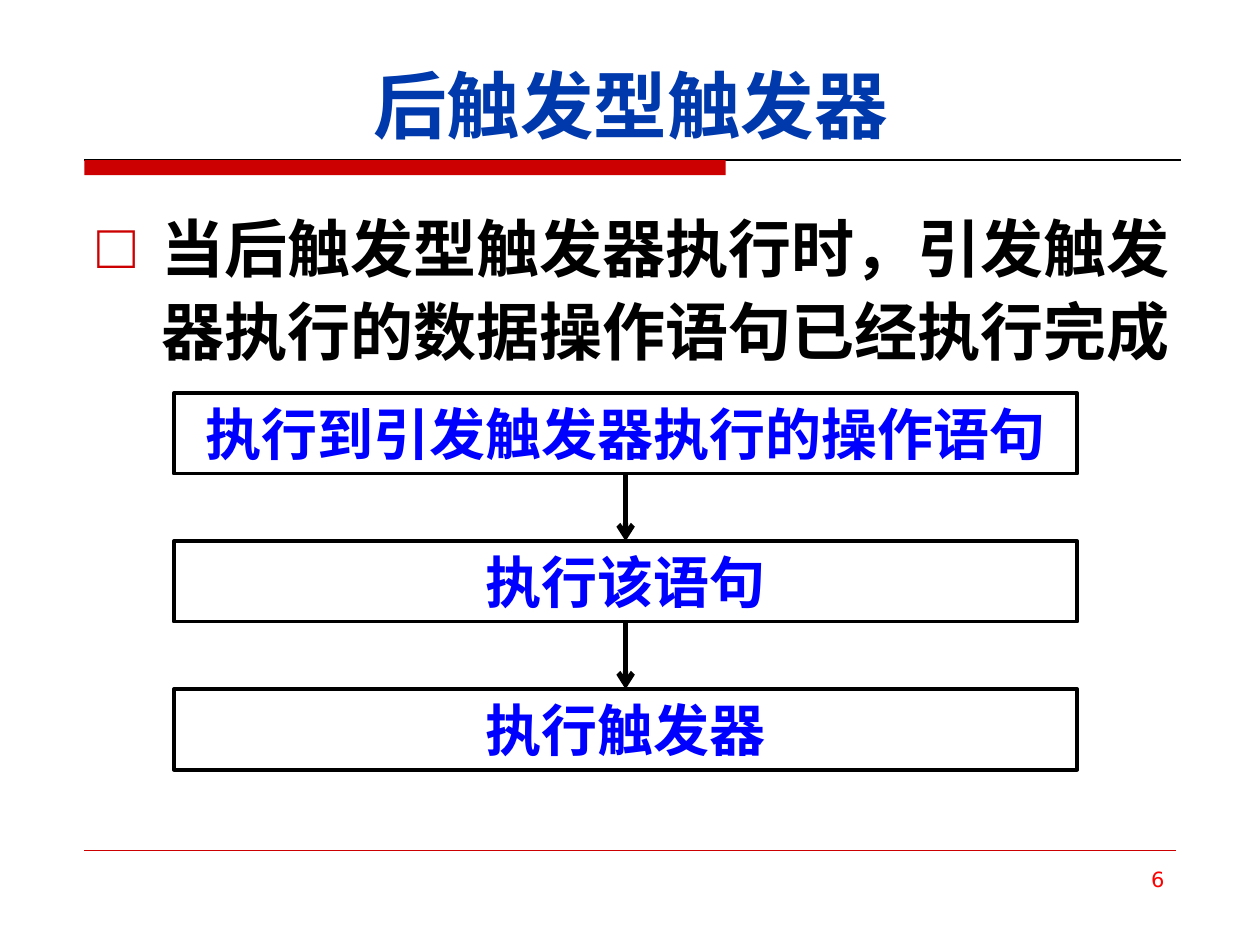
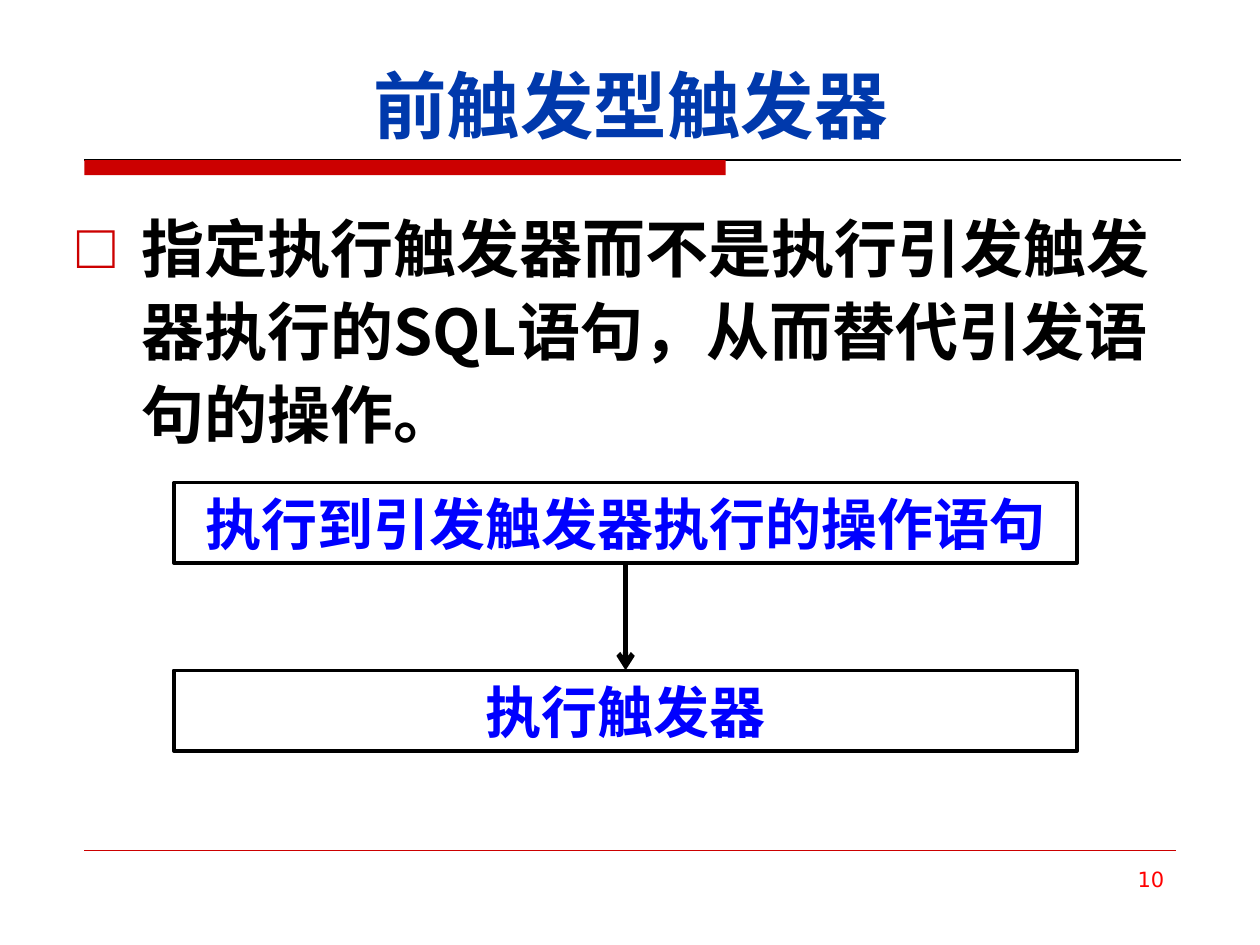
from lxml import etree
from pptx import Presentation
from pptx.dml.color import RGBColor
from pptx.enum.shapes import MSO_CONNECTOR as Link, MSO_SHAPE as Preset
from pptx.enum.text import MSO_ANCHOR as Anchor, MSO_AUTO_SIZE as Fit, PP_ALIGN as Align
from pptx.oxml.ns import qn
from pptx.util import Inches, Pt

RED = RGBColor(0xCC, 0x00, 0x00)
NUMBER_RED = RGBColor(0xFF, 0x00, 0x00)
TITLE_BLUE = RGBColor(0x00, 0x39, 0xAC)
STEP_BLUE = RGBColor(0x00, 0x00, 0xFF)
BLACK = RGBColor(0x00, 0x00, 0x00)
HEAD_FONT = "Noto Sans CJK SC"
NUMBER_FONT = "DejaVu Sans"

COLUMNS, ROWS = 100, 75  # grid units across and down the slide
STEP_LEFT, STEP_WIDTH, STEP_HEIGHT = 13.8, 71.7, 6.4


class Pages:
    """Holds the style, the deck and the current slide."""

    def __init__(self):
        self.deck = Presentation()
        self.deck.slide_width, self.deck.slide_height = Inches(10), Inches(7.5)
        self.column = self.deck.slide_width / COLUMNS
        self.row = self.deck.slide_height / ROWS
        self.page = None

    def area(self, left, top, width, height):
        return (round(left * self.column), round(top * self.row),
                round(width * self.column), round(height * self.row))

    def place(self, box, *area):
        box.left, box.top, box.width, box.height = self.area(*area)

    def set_text(self, box, text, size, color, align, anchor=Anchor.TOP,
                 font=HEAD_FONT, bold=True, fit=Fit.NONE):
        frame = box.text_frame
        frame.text = text
        frame.word_wrap = True
        frame.auto_size = fit
        frame.vertical_anchor = anchor
        para = frame.paragraphs[0]
        para.alignment = align
        for span in para.runs:
            span.font.size, span.font.bold, span.font.name = Pt(size), bold, font
            span.font.color.rgb = color
            east_asian = etree.SubElement(span.font._element, qn("a:ea"))
            east_asian.set("typeface", font)
        return para

    def line(self, start, end, color, width, arrow=False):
        x1, y1, x2, y2 = self.area(*start, *end)
        link = self.page.shapes.add_connector(Link.STRAIGHT, x1, y1, x2, y2)
        link.line.color.rgb = color
        link.line.width = Pt(width)
        outline = link._element.spPr
        if arrow:
            tail = etree.SubElement(outline.find(qn("a:ln")), qn("a:tailEnd"))
            tail.set("type", "arrow")
        etree.SubElement(outline, qn("a:effectLst"))

    def rectangle(self, *area):
        box = self.page.shapes.add_shape(Preset.RECTANGLE, *self.area(*area))
        box.shadow.inherit = False
        return box

    def start(self, title, number):
        self.page = self.deck.slides.add_slide(self.deck.slide_layouts[1])
        # Title band and footer rule
        self.line((6.7, 12.7), (93.7, 12.7), BLACK, 0.75)
        band = self.rectangle(6.7, 12.7, 50.9, 1.2)
        band.fill.solid()
        band.fill.fore_color.rgb = RED
        band.line.fill.background()
        self.line((6.7, 67.5), (93.3, 67.5), RED, 0.25)
        # Title and page number
        heading = self.page.shapes.title
        self.place(heading, 6.3, 3.3, 87.5, 9)
        self.set_text(heading, title, 42, TITLE_BLUE, Align.CENTER, Anchor.BOTTOM)
        corner = self.page.shapes.add_textbox(*self.area(71.7, 68.3, 21.7, 5.2))
        self.set_text(corner, number, 12, NUMBER_RED, Align.RIGHT,
                      font=NUMBER_FONT, bold=False)

    def body(self, text, *area):
        box = self.page.placeholders[1]
        self.place(box, *area)
        para = self.set_text(box, text, 36, BLACK, Align.LEFT)
        para.line_spacing = 1.1
        para.space_before = Pt(7.2)
        # Red hollow square bullet with a hanging indent
        settings = para._p.get_or_add_pPr()
        settings.set("marL", str(Inches(0.51)))
        settings.set("indent", str(-Inches(0.51)))
        tint = etree.SubElement(settings, qn("a:buClr"))
        etree.SubElement(tint, qn("a:srgbClr")).set("val", str(RED))
        etree.SubElement(settings, qn("a:buChar")).set("char", "□")

    def step(self, text, top):
        box = self.rectangle(STEP_LEFT, top, STEP_WIDTH, STEP_HEIGHT)
        box.fill.background()
        box.line.color.rgb = BLACK
        box.line.width = Pt(2)
        self.set_text(box, text, 32, STEP_BLUE, Align.CENTER, Anchor.MIDDLE,
                      fit=Fit.SHAPE_TO_FIT_TEXT)

    def flow(self, steps, top, pitch):
        """Stack steps at an equal pitch, joined by arrows."""
        middle = STEP_LEFT + STEP_WIDTH / 2
        for index, text in enumerate(steps):
            step_top = top + index * pitch
            self.step(text, step_top)
            if index:
                self.line((middle, step_top - pitch + STEP_HEIGHT),
                          (middle, step_top), BLACK, 3, arrow=True)


pages = Pages()
REACH, FIRE = "执行到引发触发器执行的操作语句", "执行触发器"

# Slide 1: trigger fires after the statement
pages.start("后触发型触发器", "6")
pages.body("当后触发型触发器执行时，引发触发器执行的数据操作语句已经执行完成",
           6.7, 15.5, 87.5, 16.5)
pages.flow([REACH, "执行该语句", FIRE], top=31.2, pitch=11.75)

# Slide 2: trigger replaces the statement
pages.start("前触发型触发器", "10")
pages.body("指定执行触发器而不是执行引发触发器执行的SQL语句，从而替代引发语句的操作。",
           5.1, 15.5, 89.8, 20.5)
pages.flow([REACH, FIRE], top=38.3, pitch=14.9)

pages.deck.save("out.pptx")
